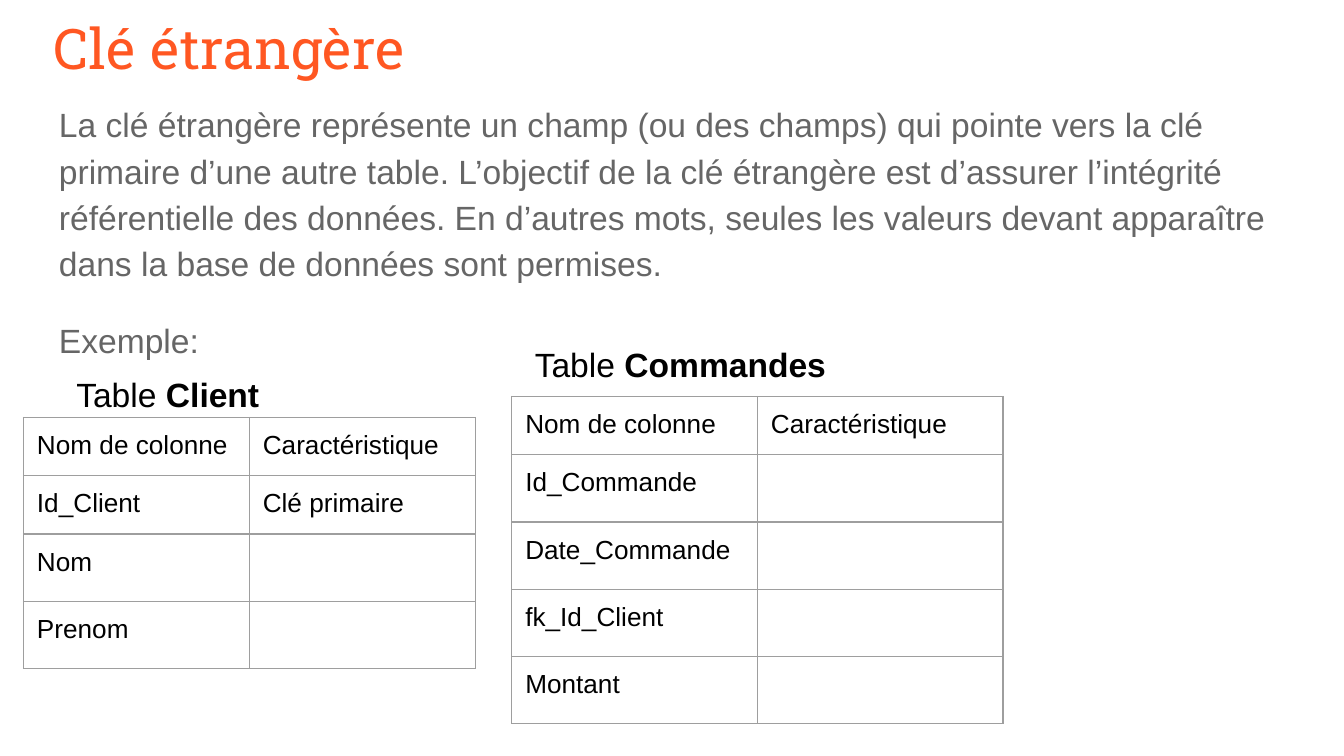
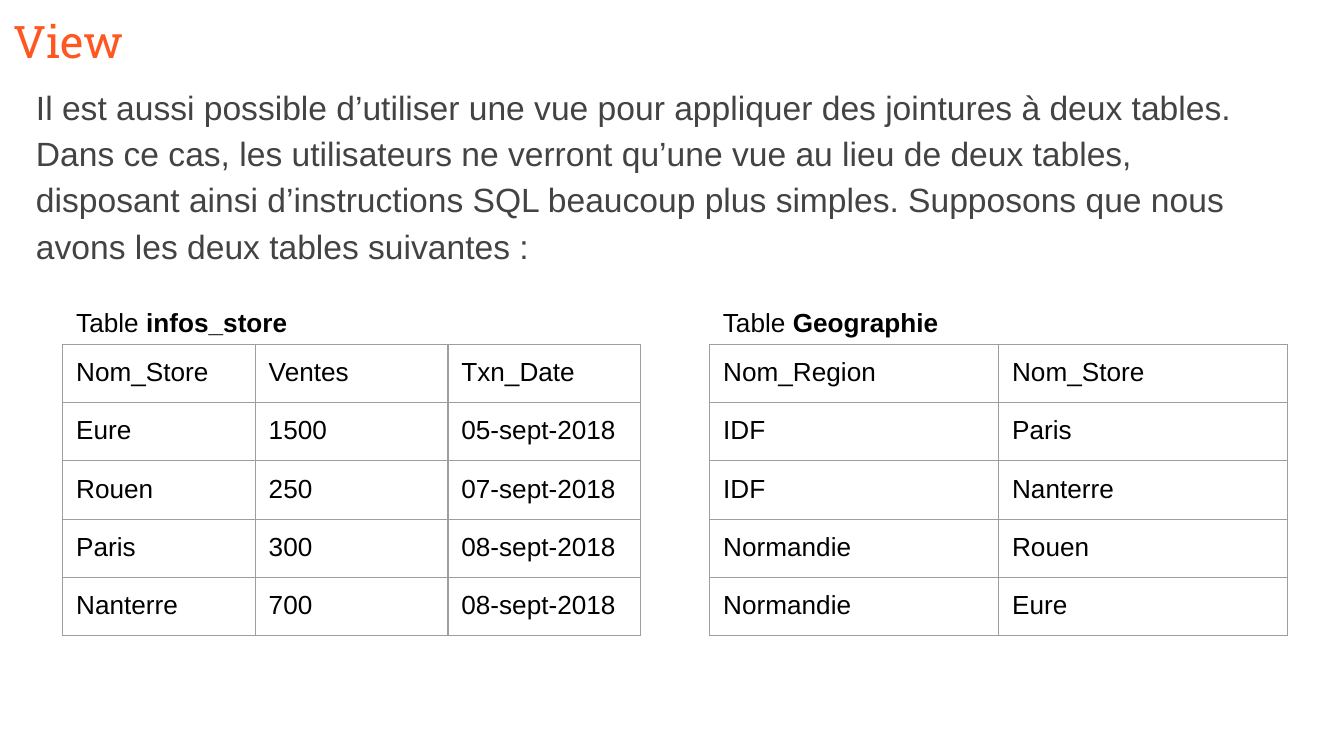
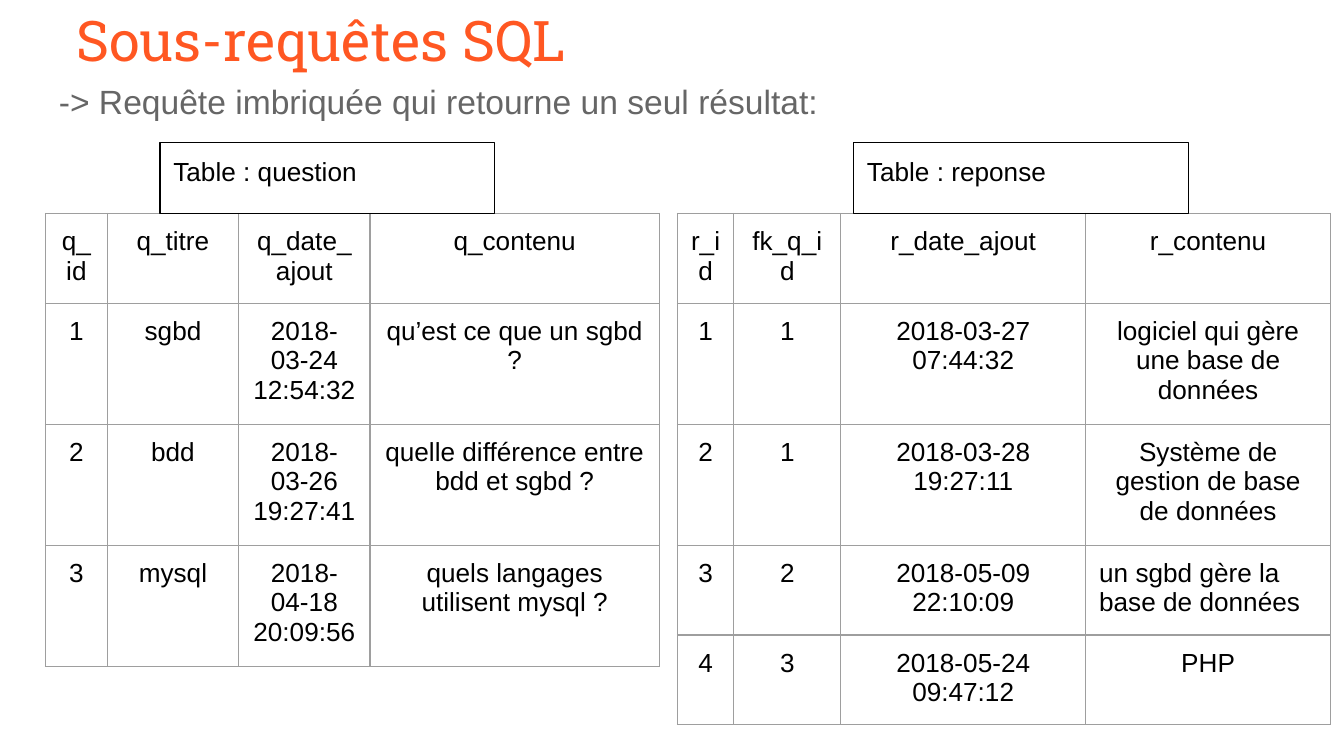
from dataclasses import dataclass
from lxml import etree
from pptx import Presentation
from pptx.dml.color import RGBColor
from pptx.enum.shapes import MSO_SHAPE
from pptx.enum.text import MSO_ANCHOR, PP_ALIGN
from pptx.oxml.ns import qn
from pptx.util import Pt

RECT = MSO_SHAPE.RECTANGLE
TOP = MSO_ANCHOR.TOP
LEFT, MID = PP_ALIGN.LEFT, PP_ALIGN.CENTER


@dataclass(frozen=True)
class Theme:
    head: str = "Roboto Slab"
    text: str = "Arial"
    orange: str = "FF5722"
    grey: str = "666666"
    dark: str = "434343"
    black: str = "000000"
    rule: str = "9E9E9E"
    big: int = 30
    title: int = 24
    body: int = 18
    small: int = 14
    line: float = 0.75
    pad: float = 7.2
    lead: float = 1.15
    gap: int = 16
    row: int = 30


T = Theme()


def write(shape, lines, size, color, face=T.text, lead=None):
    frame = shape.text_frame
    frame.word_wrap = True
    frame.vertical_anchor = TOP
    frame.margin_left = frame.margin_right = Pt(T.pad)
    frame.margin_top = frame.margin_bottom = Pt(T.pad)
    for n, line in enumerate(lines):
        para = frame.add_paragraph() if n else frame.paragraphs[0]
        plain, *bold = line.split("|")
        para.add_run().text = plain
        for part in bold:
            run = para.add_run()
            run.text = part
            run.font.bold = True
        para.alignment = LEFT
        para.line_spacing = lead
        if n:
            para.space_before = Pt(T.gap)
        para.font.name = face
        para.font.size = Pt(size)
        para.font.color.rgb = RGBColor.from_string(color)


def grid(slide, left, top, cols, rows, align=LEFT):
    frame = slide.shapes.add_table(len(rows), len(cols), Pt(left), Pt(top),
                                   Pt(sum(cols)), Pt(T.row * len(rows)))
    table = frame.table
    table.first_row = table.horz_banding = False
    for col, width in zip(table.columns, cols):
        col.width = Pt(width)
    for r, row in enumerate(rows):
        table.rows[r].height = Pt(T.row)
        for c, text in enumerate(row):
            cell = table.cell(r, c)
            cell.margin_left = cell.margin_right = Pt(T.pad)
            cell.margin_top = cell.margin_bottom = Pt(T.pad)
            props = cell._tc.get_or_add_tcPr()
            for side in ("a:lnL", "a:lnR", "a:lnT", "a:lnB"):
                edge = etree.SubElement(props, qn(side), w=str(Pt(T.line)))
                fill = etree.SubElement(edge, qn("a:solidFill"))
                etree.SubElement(fill, qn("a:srgbClr"), val=T.rule)
            cell.fill.background()
            if text:
                para = cell.text_frame.paragraphs[0]
                para.text = text
                para.alignment = align
                para.font.name = T.text
                para.font.size = Pt(T.small)
                para.font.color.rgb = RGBColor.from_string(T.black)
    return table


deck = Presentation()
deck.slide_width, deck.slide_height = Pt(720), Pt(405)

pages = [
    ("Clé étrangère", T.big, (21.6, 0, 671, 45.4),
     ["La clé étrangère représente un champ (ou des champs) qui pointe vers la clé "
      "primaire d’une autre table. L’objectif de la clé étrangère est d’assurer "
      "l’intégrité référentielle des données. En d’autres mots, seules les valeurs "
      "devant apparaître dans la base de données sont permises.", "Exemple:"],
     T.grey, (24.5, 45.4, 671, 350)),
    ("View", T.title, (0, 0, 720, 45.4),
     ["Il est aussi possible d’utiliser une vue pour appliquer des jointures à deux "
      "tables. Dans ce cas, les utilisateurs ne verront qu’une vue au lieu de deux "
      "tables, disposant ainsi d’instructions SQL beaucoup plus simples. Supposons "
      "que nous avons les deux tables suivantes :"],
     T.dark, (12.2, 36, 683.3, 351.4)),
    ("Sous-requêtes SQL", T.big, (33.8, -4.3, 671, 38.2),
     ["-> Requête imbriquée qui retourne un seul résultat:"],
     T.grey, (24.5, 33.1, 671, 362.2)),
]
slides = []
for title, size, spot, body, color, area in pages:
    slide = deck.slides.add_slide(deck.slide_layouts[6])
    slides.append(slide)
    box = slide.shapes.add_textbox(*map(Pt, spot))
    write(box, [title], size, T.orange, T.head)
    box = slide.shapes.add_textbox(*map(Pt, area))
    write(box, body, T.body, color, lead=T.lead)
keys, view, query = slides

head = ("Nom de colonne", "Caractéristique")
grid(keys, 12.6, 223.6, [121, 121],
     [head, ("Id_Client", "Clé primaire"), ("Nom", ""), ("Prenom", "")])
grid(keys, 274.2, 212.4, [131.6, 131.6],
     [head, ("Id_Commande", ""), ("Date_Commande", ""),
      ("fk_Id_Client", ""), ("Montant", "")])

stores = [
    ("Nom_Store", "Ventes", "Txn_Date"),
    ("Eure", "1500", "05-sept-2018"),
    ("Rouen", "250", "07-sept-2018"),
    ("Paris", "300", "08-sept-2018"),
    ("Nanterre", "700", "08-sept-2018"),
]
places = [
    ("Nom_Region", "Nom_Store"),
    ("IDF", "Paris"),
    ("IDF", "Nanterre"),
    ("Normandie", "Rouen"),
    ("Normandie", "Eure"),
]
for left, rows in ((33.6, stores), (380.2, places)):
    count = len(rows[0])
    grid(view, left, 184.4, [309.6 / count] * count, rows)

labels = [
    (keys, "Table |Client", T.body, (33.8, 193, 174.2, 31)),
    (keys, "Table |Commandes", T.body, (279.4, 177.1, 174.2, 31)),
    (view, "Table |infos_store", T.small, (33.8, 157, 296, 27.4)),
    (view, "Table |Geographie", T.small, (380.2, 157, 296, 27.4)),
]
for slide, text, size, spot in labels:
    box = slide.shapes.add_textbox(*map(Pt, spot))
    write(box, [text], size, T.black)

asks = [
    ("q_id", "q_titre", "q_date_ajout", "q_contenu"),
    ("1", "sgbd", "2018-03-24 12:54:32", "qu’est ce que un sgbd ?"),
    ("2", "bdd", "2018-03-26 19:27:41", "quelle différence entre bdd et sgbd ?"),
    ("3", "mysql", "2018-04-18 20:09:56", "quels langages utilisent mysql ?"),
]
replies = [
    ("r_id", "fk_q_id", "r_date_ajout", "r_contenu"),
    ("1", "1", "2018-03-27 07:44:32", "logiciel qui gère une base de données"),
    ("2", "1", "2018-03-28 19:27:11", "Système de gestion de base de données"),
    ("3", "2", "2018-05-09 22:10:09", "un sgbd gère la base de données"),
    ("4", "3", "2018-05-24 09:47:12", "PHP"),
]
grid(query, 24.4, 114.4, [33.1, 70.4, 70.4, 155], asks, MID)
table = grid(query, 362.9, 114.4, [30.2, 57.4, 131.2, 131.2], replies, MID)
table.cell(3, 3).text_frame.paragraphs[0].alignment = LEFT

for left, text in ((85.8, "Table : question"), (457.4, "Table : reponse")):
    tag = query.shapes.add_shape(RECT, Pt(left), Pt(76.3), Pt(179.2), Pt(38.1))
    tag.shadow.inherit = False
    tag.fill.background()
    tag.line.color.rgb = RGBColor.from_string(T.black)
    tag.line.width = Pt(T.line)
    write(tag, [text], T.small, T.black)

deck.save("out.pptx")
